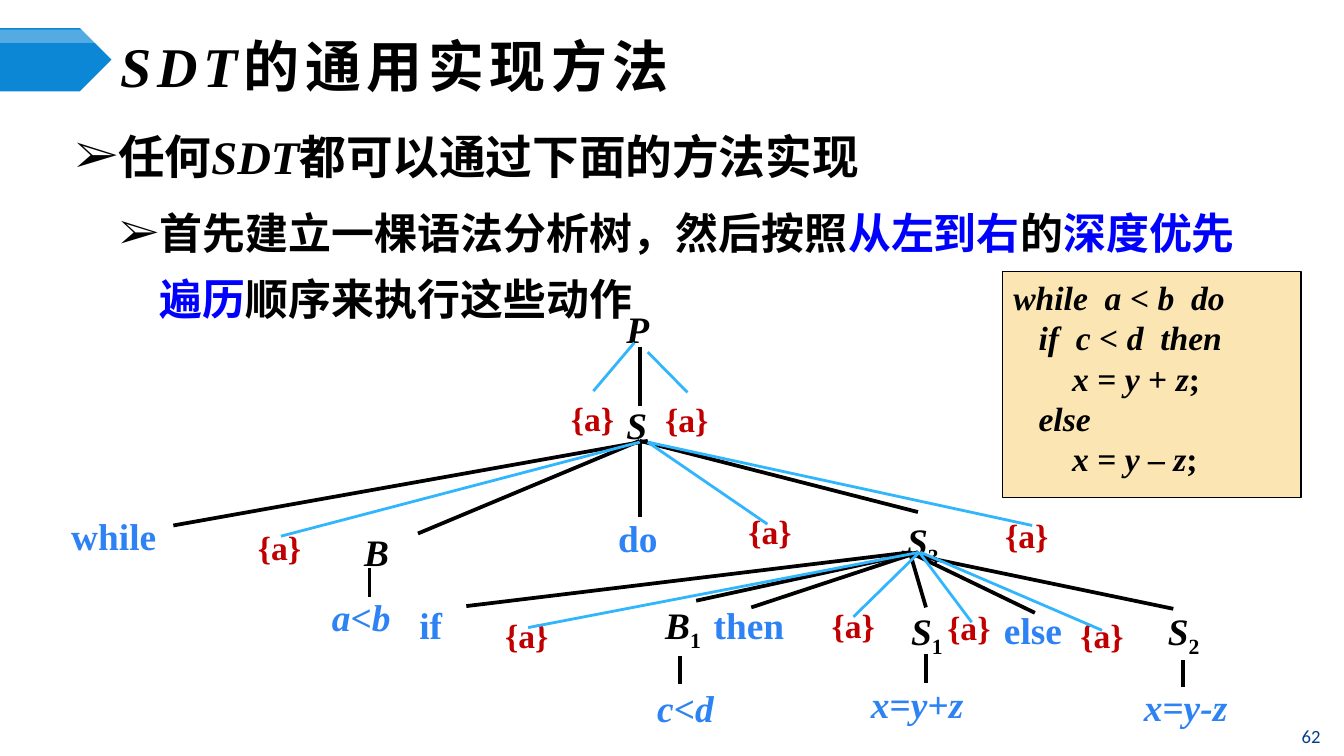
"""Builds the slide on the general way to implement an SDT, with its annotated parse tree."""
from lxml import etree
from pptx import Presentation
from pptx import util as u
from pptx.dml import color
from pptx.enum import shapes, text
from pptx.oxml import ns

COLORS = {"black": "000000", "white": "FFFFFF", "banner": "0B87D6", "key": "0000FF",
          "terminal": "2D83F4", "action": "C00000", "action_line": "31B6FD",
          "code": "FBE6B3", "number": "073E87"}
SERIF, CJK = "Times New Roman", "Noto Sans CJK SC"
TREE_INSETS = (0.07, 0.01, 0.07, 0.01)
TEXT_INSETS = (0.07, 0.04, 0.07, 0.04)

# label (*italic*, _subscript), left, top, width, height
TERMINALS = [
    ("while", 0.46, 3.81, 0.83, 0.3), ("do", 4.53, 3.82, 0.47, 0.24),
    ("if", 3.05, 4.47, 0.47, 0.24), ("then", 5.24, 4.47, 0.71, 0.28),
    ("else", 7.4, 4.51, 0.59, 0.28), ("*a*<*b*", 2.4, 4.41, 0.65, 0.27),
    ("*c<d*", 4.82, 5.09, 0.65, 0.27), ("*x*=*y*+*z*", 6.41, 5.06, 0.89, 0.27),
    ("*x=y-z*", 8.44, 5.08, 0.89, 0.27)]
NONTERMINALS = [
    ("*P*", 4.59, 2.33, 0.47, 0.3), ("*S*", 4.59, 3.05, 0.47, 0.3),
    ("*B*", 2.64, 3.99, 0.47, 0.3), ("*S*_3", 6.68, 3.88, 0.47, 0.3),
    ("*S*_1", 6.71, 4.55, 0.47, 0.3), ("*S*_2", 8.62, 4.55, 0.47, 0.3)]
SINGLE_SPACED = [("*B*_1", 4.88, 4.47, 0.47, 0.24)]
NODE_GROUPS = [(TERMINALS, "terminal", 1.0), (NONTERMINALS, "black", 0.8),
               (SINGLE_SPACED, "black", 1.0)]

# parent point: child points
BRANCHES = {
    (4.76, 2.58): [(4.76, 3.02)],
    (4.76, 3.28): [(3.11, 3.97), (4.76, 3.85), (6.83, 3.81)],
    (4.82, 3.28): [(1.29, 3.91)],
    (6.77, 4.11): [(3.47, 4.51), (6.89, 4.52), (7.7, 4.56)],
    (6.83, 4.11): [(5.18, 4.47), (5.59, 4.52)],
    (6.71, 4.11): [(8.73, 4.53)],
    (2.75, 4.23): [(2.75, 4.44)],
    (5.06, 4.88): [(5.06, 5.09)],
    (6.89, 4.87): [(6.89, 5.08)],
    (8.8, 4.91): [(8.8, 5.11)]}

# label left and top, line start, line end (None joins the label's top)
ACTIONS = [
    ((4.15, 2.91), (4.72, 2.55), None), ((4.85, 2.92), (4.82, 2.62), None),
    ((1.82, 3.87), (4.76, 3.29), (2.09, 3.99)),
    ((5.47, 3.75), (4.82, 3.29), (5.71, 3.9)),
    ((7.38, 3.78), (4.82, 3.29), (7.68, 3.91)),
    ((3.66, 4.53), (6.84, 4.11), (3.93, 4.67)),
    ((6.09, 4.45), (6.84, 4.11), (6.35, 4.59)),
    ((6.95, 4.47), (6.84, 4.11), (7.23, 4.63)),
    ((7.94, 4.53), (6.85, 4.11), (8.2, 4.69))]

CODE = ["*while  a *< *b  do*", "  * if  c *< *d  then*", "*       x *= *y* + *z*;",
        "   *else*", "       *x* = *y* – *z*;"]


def rgb(name):
    """Return the named colour."""
    return color.RGBColor.from_string(COLORS[name])


def set_all(obj, values):
    """Set each attribute in a dict of values."""
    for key, value in values.items():
        setattr(obj, key, value)


def set_frame(tf, insets, **values):
    """Set wrapping, insets and other values of a text frame."""
    sides = ("margin_left", "margin_top", "margin_right", "margin_bottom")
    set_all(tf, {"word_wrap": True, **dict(zip(sides, map(u.Inches, insets))), **values})


def add_box(s, at, insets=TEXT_INSETS, **values):
    """Add an empty text box."""
    sp = s.shapes.add_textbox(*map(u.Inches, at))
    set_frame(sp.text_frame, insets, **values)
    return sp


def add_run(p, words, size, hue="black", name=SERIF, bold=True, italic=False, **attrs):
    """Add a run, with extra attributes such as spc or baseline."""
    r = p.add_run()
    r.text = words
    set_all(r.font, {"size": u.Pt(size), "name": name, "bold": bold, "italic": italic})
    r.font.color.rgb = rgb(hue)
    props = r.font._element
    etree.SubElement(props, ns.qn("a:ea")).set("typeface", name)
    for key, value in attrs.items():
        props.set(key, value)


def add_marked(p, label, size, hue="black"):
    """Add runs from a label with *italic* parts and a _subscript."""
    base, _, sub = label.partition("_")
    for i, part in enumerate(base.split("*")):
        if part:
            add_run(p, part, size, hue, italic=i % 2 == 1)
    if sub:
        add_run(p, sub, size, hue, baseline="-25000")


def set_indent(p, left, first):
    """Set the left margin and first-line indent of a paragraph."""
    pPr = p._p.get_or_add_pPr()
    pPr.set("marL", str(u.Inches(left)))
    pPr.set("indent", str(u.Inches(first)))
    return pPr


def add_bullet(p, level, left, parts, size):
    """Fill an arrow-bulleted paragraph."""
    pPr = set_indent(p, left, -0.3)
    etree.SubElement(pPr, ns.qn("a:buFont")).set("typeface", SERIF)
    etree.SubElement(pPr, ns.qn("a:buChar")).set("char", "➢")
    set_all(p, {"level": level, "line_spacing": u.Pt(35)})
    for words, values in parts:
        add_run(p, words, size, **{"name": CJK, **values})


def add_line(s, start, end, hue, width):
    """Add a straight line."""
    c = s.shapes.add_connector(shapes.MSO_CONNECTOR.STRAIGHT, *map(u.Inches, (*start, *end)))
    c.line.color.rgb = rgb(hue)
    c.line.width = u.Pt(width)
    etree.SubElement(c._element.spPr, ns.qn("a:effectLst"))
    return c


def add_shape(s, kind, at, hue):
    """Add a filled preset shape without outline."""
    sp = s.shapes.add_shape(kind, *map(u.Inches, at))
    sp.shadow.inherit = False
    sp.fill.solid()
    sp.fill.fore_color.rgb = rgb(hue)
    sp.line.fill.background()
    return sp


def add_heading(s):
    """Add the banner and the title."""
    plate = shapes.MSO_SHAPE.PENTAGON
    add_shape(s, plate, (0, 0.21, 0.83, 0.47), "banner")
    gloss = add_shape(s, plate, (0, 0.22, 0.83, 0.1), "white")
    fill = gloss._element.spPr.find(".//" + ns.qn("a:srgbClr"))
    etree.SubElement(fill, ns.qn("a:alpha")).set("val", "30000")
    sp = add_box(s, (0.83, 0.29, 8.67, 0.39), vertical_anchor=text.MSO_ANCHOR.MIDDLE)
    p = sp.text_frame.paragraphs[0]
    add_run(p, "SDT", 30, italic=True, spc="300")
    add_run(p, "的通用实现方法", 30, name=CJK, spc="300")


def add_body(s):
    """Add the two bulleted paragraphs."""
    tf = add_box(s, (0.49, 0.84, 9.01, 1.97)).text_frame
    key = {"hue": "key"}
    add_bullet(tf.paragraphs[0], 0, 0.3, [
        ("任何", {}), ("SDT", {"name": SERIF, "italic": True}),
        ("都可以通过下面的方法实现", {})], 25)
    p = tf.add_paragraph()
    add_bullet(p, 1, 0.63, [
        ("首先建立一棵语法分析树，然后按照", {}), ("从左到右", key), ("的", {}),
        ("深度优先遍历", key), ("顺序来执行这些动作", {})], 23)
    p.space_before = u.Pt(5)


def add_tree(s):
    """Add the parse tree's nodes and branches."""
    for nodes, hue, spacing in NODE_GROUPS:
        for label, *at in nodes:
            p = add_box(s, at, TREE_INSETS).text_frame.paragraphs[0]
            set_all(p, {"alignment": text.PP_ALIGN.JUSTIFY, "line_spacing": spacing})
            add_marked(p, label, 20, hue)
    for parent, children in BRANCHES.items():
        for child in children:
            add_line(s, parent, child, "black", 2)


def add_actions(s):
    """Add the semantic actions and the lines that tie them to the tree."""
    for place, start, end in ACTIONS:
        sp = add_box(s, (*place, 0.53, 0.4), (0.1, 0.05, 0.1, 0.05), word_wrap=end is not None,
                     auto_size=text.MSO_AUTO_SIZE.SHAPE_TO_FIT_TEXT)
        add_run(sp.text_frame.paragraphs[0], "{a}", 18, "action")
        c = add_line(s, start, end or place, "action_line", 1.5)
        if end is None:
            c.end_connect(sp, 0)


def add_code(s):
    """Add the boxed program."""
    sp = add_shape(s, shapes.MSO_SHAPE.RECTANGLE, (7.46, 2.02, 2.22, 1.68), "code")
    sp.line.color.rgb = rgb("black")
    sp.line.width = u.Pt(0.75)
    tf = sp.text_frame
    set_frame(tf, (0.08, 0.04, 0.08, 0.04), vertical_anchor=text.MSO_ANCHOR.TOP)
    for i, row in enumerate(CODE):
        p = tf.add_paragraph() if i else tf.paragraphs[0]
        set_indent(p, 0.28, -0.28)
        p.alignment = text.PP_ALIGN.LEFT
        add_marked(p, row, 18)


def add_number(s):
    """Add the slide number."""
    sp = add_box(s, (9.53, 5.33, 0.45, 0.3), vertical_anchor=text.MSO_ANCHOR.MIDDLE)
    p = sp.text_frame.paragraphs[0]
    p.alignment = text.PP_ALIGN.CENTER
    add_run(p, "62", 10, "number", "Calibri", bold=False)


def main():
    """Build and save the slide."""
    prs = Presentation()
    prs.slide_width, prs.slide_height = u.Inches(10), u.Inches(10 * 9 / 16)
    s = prs.slides.add_slide(prs.slide_layouts[6])
    for add_part in (add_heading, add_body, add_tree, add_actions, add_code, add_number):
        add_part(s)
    prs.save("out.pptx")


if __name__ == "__main__":
    main()
